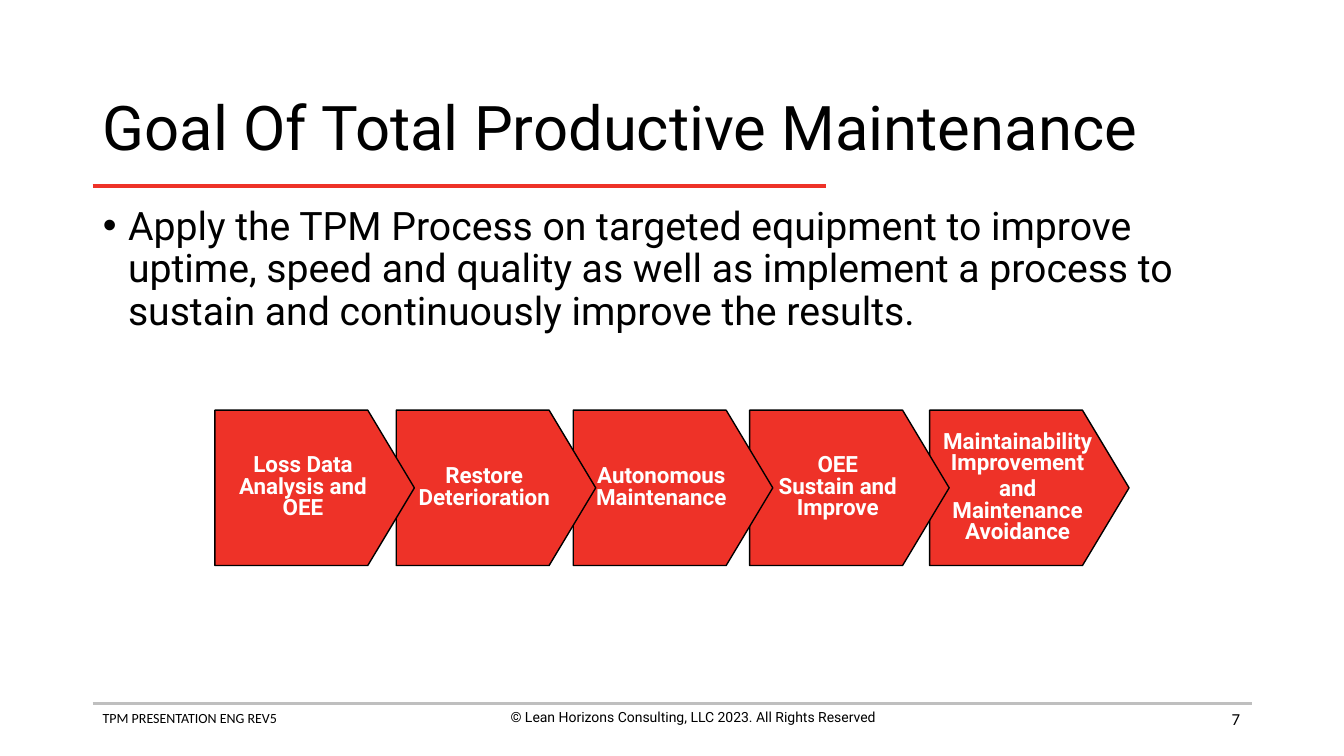
from lxml import etree
from pptx import Presentation
from pptx.dml.color import RGBColor
from pptx.enum.shapes import MSO_CONNECTOR, MSO_SHAPE
from pptx.enum.text import MSO_ANCHOR, MSO_AUTO_SIZE, PP_ALIGN
from pptx.oxml.ns import qn
from pptx.util import Pt

LEFT, CENTER, RIGHT = PP_ALIGN.LEFT, PP_ALIGN.CENTER, PP_ALIGN.RIGHT
TOP, MIDDLE = MSO_ANCHOR.TOP, MSO_ANCHOR.MIDDLE
PENTAGON = MSO_SHAPE.PENTAGON
STRAIGHT = MSO_CONNECTOR.STRAIGHT
NO_AUTOFIT = MSO_AUTO_SIZE.NONE

RED, BLACK, WHITE, GREY = "EE3228", "000000", "FFFFFF", "BFBFBF"
MARGIN, CONTENT_WIDTH = 66.25, 828
STEP_TOP, STEP_WIDTH, STEP_HEIGHT = 293, 142.5, 111

# Left edge and paragraphs of each step; \v breaks a line within a paragraph
STEPS = [
    (153.5, "Loss Data\vAnalysis and\vOEE"),
    (283, "Restore\vDeterioration"),
    (409.5, "Autonomous\vMaintenance"),
    (535.5, "OEE\vSustain and\vImprove"),
    (664, "Maintainability\vImprovement\nand\vMaintenance\vAvoidance"),
]


def rgb(color):
    return RGBColor.from_string(color)


class SlideBuilder:
    def __init__(self, slide, font="Roboto"):
        self.slide = slide
        self.font = font

    def set_text(self, shape, text, size, color=BLACK, align=LEFT, anchor=TOP,
                 font=None, bold=False, spacing=1.0, gap=0, wrap=True):
        frame = shape.text_frame
        frame.text = text
        frame.word_wrap = wrap
        frame.auto_size = NO_AUTOFIT
        frame.vertical_anchor = anchor
        for index, paragraph in enumerate(frame.paragraphs):
            paragraph.alignment = align
            paragraph.line_spacing = spacing
            paragraph.space_before = Pt(gap if index else 0)
            for run in paragraph.runs:
                run.font.name = font or self.font
                run.font.size = Pt(size)
                run.font.bold = bold
                run.font.color.rgb = rgb(color)

    def placeholder(self, index, top, height, text, size, anchor):
        shape = self.slide.placeholders[index]
        shape.left, shape.top = Pt(MARGIN), Pt(top)
        shape.width, shape.height = Pt(CONTENT_WIDTH), Pt(height)
        self.set_text(shape, text, size, anchor=anchor, spacing=0.9)
        return shape

    def bullet(self, paragraph, indent):
        properties = paragraph._p.get_or_add_pPr()
        properties.set("marL", str(Pt(indent)))
        properties.set("indent", str(Pt(-indent)))
        mark = etree.SubElement(properties, qn("a:buChar"))
        mark.set("char", "•")

    def label(self, left, top, width, height, text, size, **style):
        box = self.slide.shapes.add_textbox(Pt(left), Pt(top), Pt(width), Pt(height))
        self.set_text(box, text, size, **style)

    def rule(self, top, width, color, weight):
        line = self.slide.shapes.add_connector(
            STRAIGHT, Pt(MARGIN), Pt(top), Pt(MARGIN + width), Pt(top))
        line.line.color.rgb = rgb(color)
        line.line.width = Pt(weight)
        etree.SubElement(line._element.spPr, qn("a:effectLst"))

    def step(self, left, text):
        arrow = self.slide.shapes.add_shape(
            PENTAGON, Pt(left), Pt(STEP_TOP), Pt(STEP_WIDTH), Pt(STEP_HEIGHT))
        arrow.adjustments[0] = 0.3
        arrow.shadow.inherit = False
        arrow.fill.solid()
        arrow.fill.fore_color.rgb = rgb(RED)
        arrow.line.color.rgb = rgb(BLACK)
        arrow.line.width = Pt(1)
        self.set_text(arrow, text, 16, WHITE, CENTER, MIDDLE,
                      bold=True, spacing=0.8, gap=3.2, wrap=False)


def main():
    deck = Presentation()
    deck.slide_width, deck.slide_height = Pt(960), Pt(540)
    builder = SlideBuilder(deck.slides.add_slide(deck.slide_layouts[1]))

    builder.rule(502.5, CONTENT_WIDTH, GREY, 2)
    builder.label(MARGIN, 503.5, 328, 19.5, "TPM PRESENTATION ENG REV5", 10, font="Calibri")
    builder.label(331, 502.5, 328, 31.5,
                  "© Lean Horizons Consulting, LLC 2023. All Rights Reserved", 10, align=CENTER)
    builder.label(677, 499, 216, 29, "7", 12, align=RIGHT, anchor=MIDDLE, font="Calibri")

    builder.rule(133, 524, RED, 3)
    builder.placeholder(0, 53.5, 79.5, "Goal Of Total Productive Maintenance", 44, MIDDLE)
    goal = builder.placeholder(
        1, 144, 342.5,
        "Apply the TPM Process on targeted equipment to improve uptime, speed and quality "
        "as well as implement a process to sustain and continuously improve the results.",
        28, TOP)
    builder.bullet(goal.text_frame.paragraphs[0], 18)

    # Each arrow's tip lies over the step that follows it
    for left, text in reversed(STEPS):
        builder.step(left, text)

    deck.save("out.pptx")


if __name__ == "__main__":
    main()
